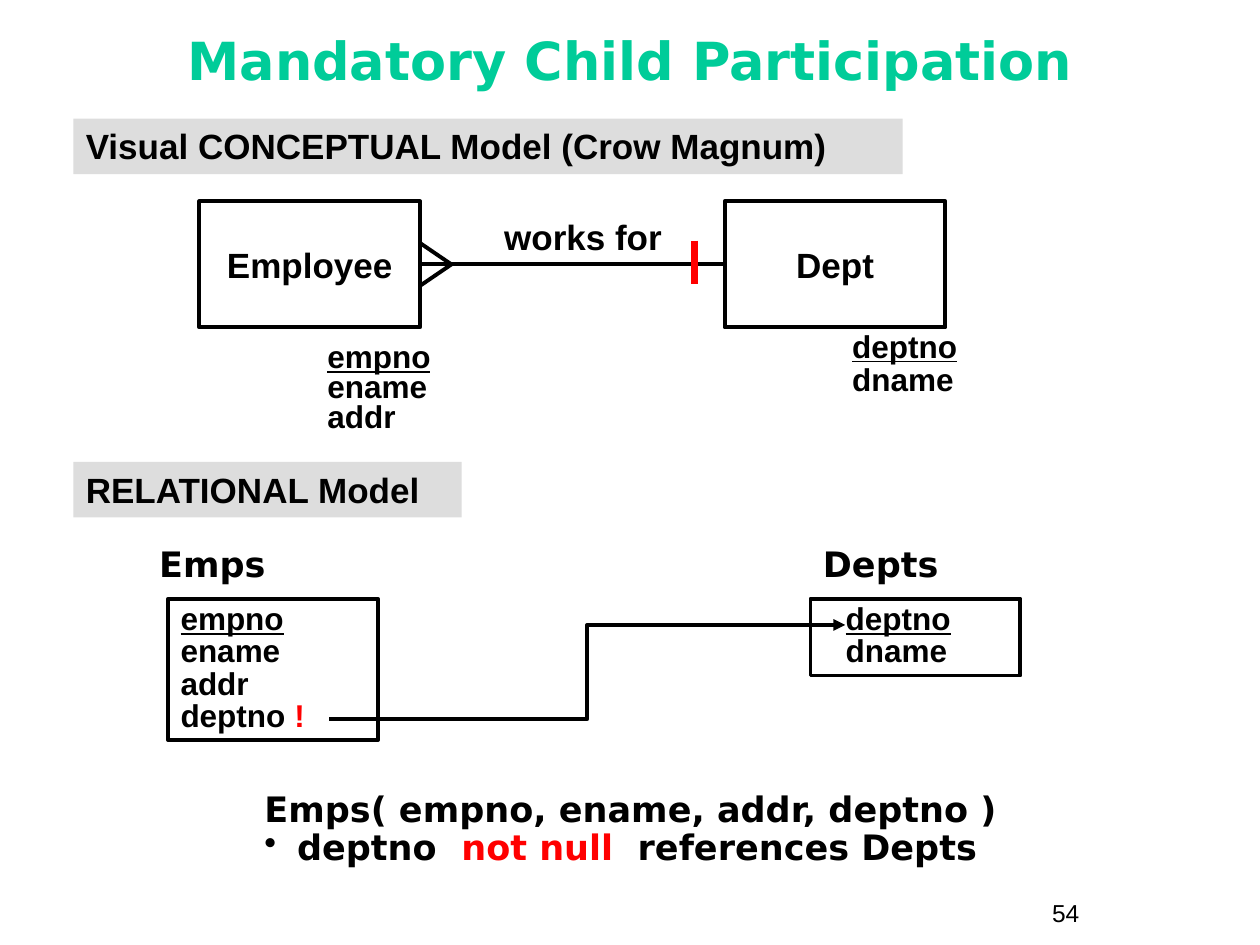
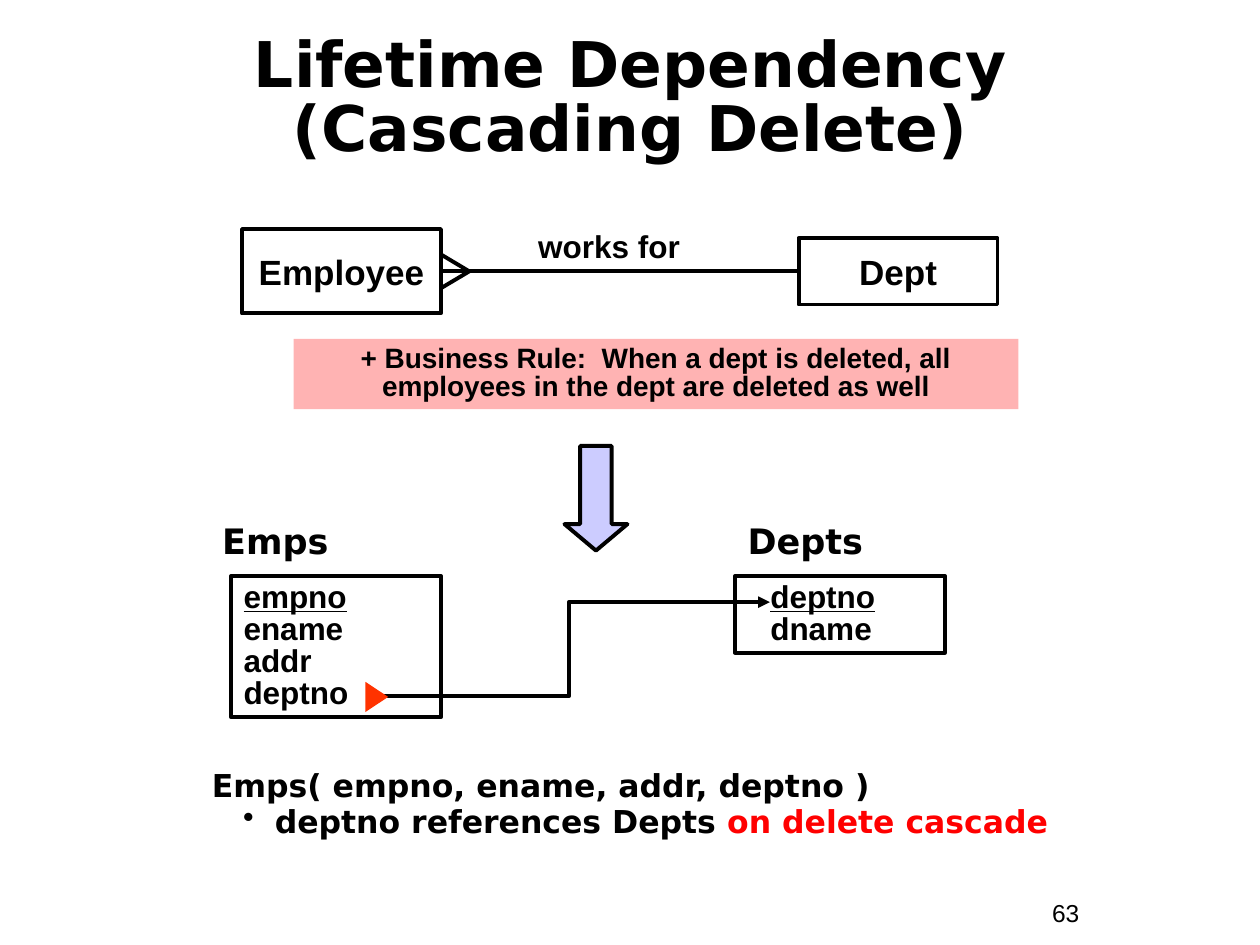
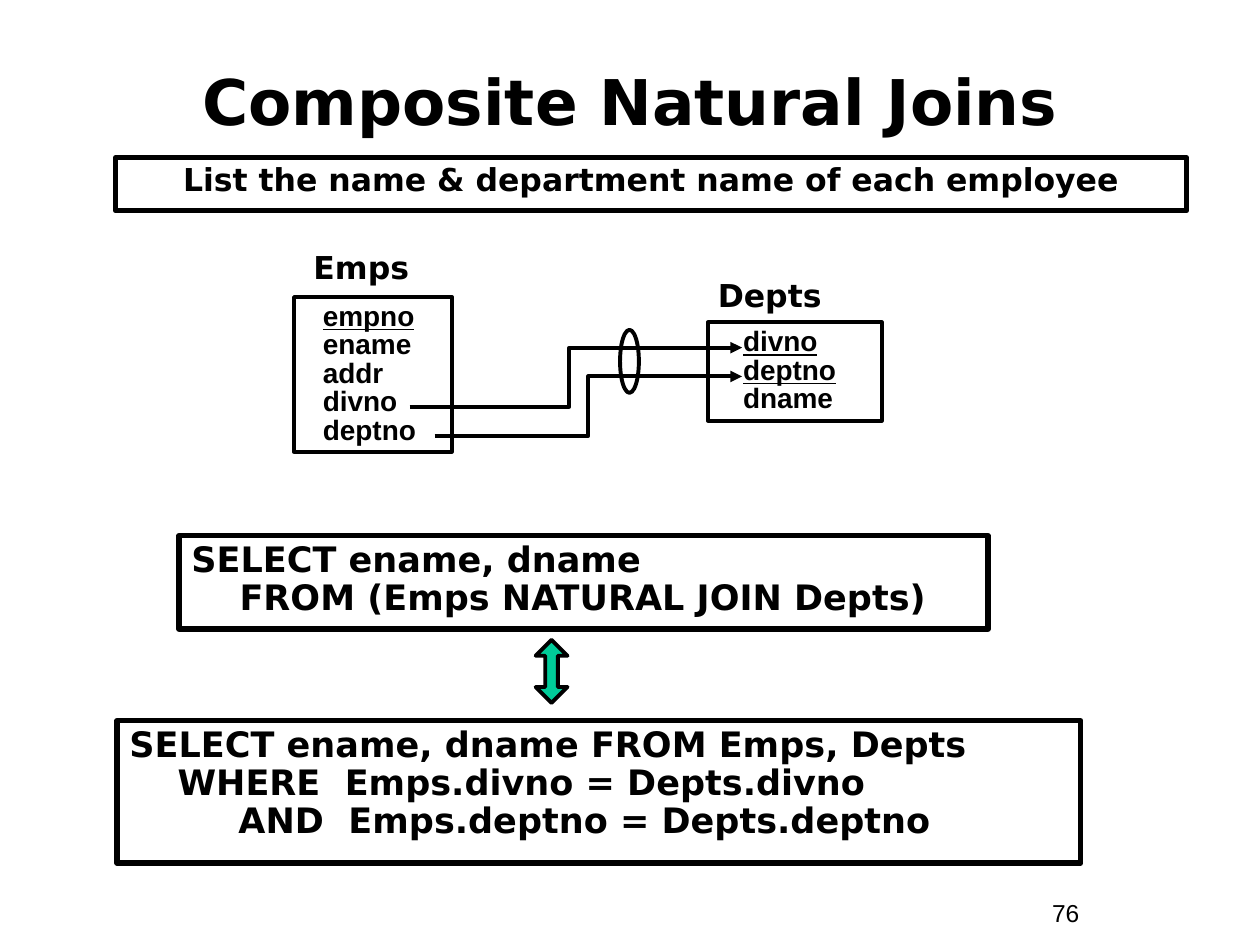
from dataclasses import dataclass
from typing import Any, Optional

from lxml import etree
from pptx import Presentation
from pptx.dml.color import RGBColor
from pptx.enum.shapes import MSO_CONNECTOR, MSO_SHAPE
from pptx.enum.text import MSO_ANCHOR, PP_ALIGN
from pptx.oxml.ns import qn
from pptx.util import Cm, Pt

RECT, OVAL = MSO_SHAPE.RECTANGLE, MSO_SHAPE.OVAL
DOWN, BOTH = MSO_SHAPE.DOWN_ARROW, MSO_SHAPE.UP_DOWN_ARROW
WEDGE = MSO_SHAPE.ISOSCELES_TRIANGLE
STRAIGHT, ELBOW = MSO_CONNECTOR.STRAIGHT, MSO_CONNECTOR.ELBOW
LEFT, CENTER = PP_ALIGN.LEFT, PP_ALIGN.CENTER
TOP, MIDDLE = MSO_ANCHOR.TOP, MSO_ANCHOR.MIDDLE

COLORS = {
    "black": "000000", "red": "FF0000", "green": "00CC99", "gray": "DDDDDD",
    "pink": "FFB3B3", "lilac": "CCCCFF", "flame": "FF3300",
}
SANS, HEAD = "Arial", "DejaVu Sans"
EDGE, THICK = 2.25, 3


# Parts that repeat
@dataclass(frozen=True)
class Box:
    left: float
    top: float
    width: float
    height: float

    @property
    def right(self) -> float:
        return self.left + self.width

    @property
    def mid(self) -> float:
        return self.top + self.height / 2


@dataclass(frozen=True)
class Word:
    text: str
    color: str = "black"
    under: bool = False


@dataclass(frozen=True)
class Line:
    words: tuple[Word, ...]
    space: float = 1.0
    indent: float = 0
    first: float = 0
    before: float = 0
    bullet: bool = False


@dataclass(frozen=True)
class Type:
    size: float
    face: str = SANS
    bold: bool = True


@dataclass(frozen=True)
class Table:
    label: Box
    name: str
    box: Box
    rows: list[Line]
    size: float
    label_size: float


# Drawing tools
def style(target: Any, values: dict[str, Any]) -> None:
    for key, value in values.items():
        setattr(target, key, value)


def color(name: str) -> RGBColor:
    return RGBColor.from_string(COLORS[name])


def plain(text: str, **form: Any) -> list[Line]:
    return [Line((Word(text),), **form)]


def fields(names: str, keys: int = 1, space: float = 0.85, indent: float = 0) -> list[Line]:
    return [Line((Word(name, under=i < keys),), space, indent)
            for i, name in enumerate(names.split())]


def write(shape: Any, lines: list[Line], kind: Type, align: Any = LEFT,
          anchor: Any = TOP, wrap: bool = True) -> None:
    frame = shape.text_frame
    style(frame, {
        "word_wrap": wrap, "vertical_anchor": anchor,
        "margin_left": Cm(0.25), "margin_right": Cm(0.25),
        "margin_top": Cm(0.13), "margin_bottom": Cm(0.13),
    })
    for i, line in enumerate(lines):
        para = frame.add_paragraph() if i else frame.paragraphs[0]
        style(para, {"alignment": align, "line_spacing": line.space,
                     "space_before": Pt(line.before)})
        props = para._p.get_or_add_pPr()
        props.set("marL", str(Cm(line.indent)))
        props.set("indent", str(Cm(line.first)))
        if line.bullet:
            tint = etree.SubElement(props, qn("a:buClr"))
            etree.SubElement(tint, qn("a:srgbClr"), val=COLORS["black"])
            etree.SubElement(props, qn("a:buChar"), char="•")
        for word in line.words:
            for j, part in enumerate(word.text.split("\n")):
                if j:
                    para.add_line_break()
                run = para.add_run()
                run.text = part
                style(run.font, {"size": Pt(kind.size), "name": kind.face,
                                 "bold": kind.bold, "underline": word.under})
                run.font.color.rgb = color(word.color)


def note(slide: Any, box: Box, lines: list[Line], kind: Type, **form: Any) -> None:
    area = slide.shapes.add_textbox(Cm(box.left), Cm(box.top), Cm(box.width), Cm(box.height))
    write(area, lines, kind, **form)


def block(slide: Any, box: Box, shape: Any = RECT, fill: Optional[str] = None,
          edge: float = EDGE, adjust: tuple[float, ...] = ()) -> Any:
    item = slide.shapes.add_shape(shape, Cm(box.left), Cm(box.top),
                                  Cm(box.width), Cm(box.height))
    item.shadow.inherit = False
    if fill:
        item.fill.solid()
        item.fill.fore_color.rgb = color(fill)
    else:
        item.fill.background()
    if edge:
        item.line.color.rgb = color("black")
        item.line.width = Pt(edge)
    else:
        item.line.fill.background()
    for i, value in enumerate(adjust):
        item.adjustments[i] = value
    return item


def wire(slide: Any, start: tuple[float, float], end: tuple[float, float],
         kind: Any = STRAIGHT, tint: str = "black", width: float = EDGE,
         bend: float = 0.5) -> Any:
    link = slide.shapes.add_connector(kind, *(Cm(n) for n in (*start, *end)))
    link.line.color.rgb = color(tint)
    link.line.width = Pt(width)
    props = link._element.spPr
    if kind == ELBOW:
        guides = props.find(qn("a:prstGeom")).get_or_add_avLst()
        etree.SubElement(guides, qn("a:gd"), name="adj1", fmla=f"val {round(bend * 100000)}")
        etree.SubElement(props.find(qn("a:ln")), qn("a:tailEnd"), type="triangle")
    etree.SubElement(props, qn("a:effectLst"))
    return link


# Parts of the diagrams
def page(deck: Any, title: str, number: str, box: Box, size: float = 36,
         tint: str = "black", space: float = 1.0) -> Any:
    slide = deck.slides.add_slide(deck.slide_layouts[6])
    note(slide, Box(20.96, 17.98, 2.34, 0.86), plain(number), Type(14, bold=False))
    note(slide, box, [Line((Word(title, tint),), space)], Type(size, HEAD),
         align=CENTER, anchor=MIDDLE)
    return slide


def band(slide: Any, box: Box, text: str) -> None:
    write(block(slide, box, fill="gray", edge=0), plain(text), Type(20))


def model(slide: Any, emp: Box, dept: Box, tip: float, spread: float,
          label: Box, size: float) -> None:
    ends = []
    for box, name in ((dept, "Dept"), (emp, "Employee")):
        item = block(slide, box)
        write(item, plain(name), Type(20), CENTER, MIDDLE, wrap=False)
        ends.append(item)
    link = wire(slide, (dept.left, dept.mid), (emp.right, emp.mid))
    link.begin_connect(ends[0], 1)
    link.end_connect(ends[1], 3)
    for side in (-spread, spread):
        wire(slide, (emp.right + tip, emp.mid), (emp.right, emp.mid + side))
    note(slide, label, plain("works for"), Type(size), align=CENTER)


def draw(slide: Any, table: Table) -> None:
    note(slide, table.label, plain(table.name), Type(table.label_size, HEAD))
    write(block(slide, table.box), table.rows, Type(table.size))


def schema(slide: Any, emps: float, depts: float, top: float, start: float,
           mark: tuple[Word, ...] = ()) -> None:
    rows = fields("empno ename addr")
    rows.append(Line((Word("deptno"), *mark), 0.85))
    sides = (("Emps", emps, emps - 0.43, 2.85, rows),
             ("Depts", depts, depts, 1.55, fields("deptno dname", indent=0.46)))
    for name, left, edge, height, lines in sides:
        draw(slide, Table(Box(edge, top - 1.27, 5.46, 1.12), name,
                          Box(left, top, 4.23, height), lines, 18, 20))
    wire(slide, (start, top + 2.43), (depts + 0.7, top + 0.53), ELBOW)


def query(slide: Any, box: Box, text: str) -> None:
    write(block(slide, box, edge=THICK),
          plain(text, space=0.9, indent=0.97, first=-0.97), Type(20, HEAD))


# Slides
def child(deck: Any) -> None:
    slide = page(deck, "Mandatory Child Participation", "54",
                 Box(0.64, 0.46, 24.13, 1.47), 30, "green")
    model(slide, Box(4.02, 4.06, 4.45, 2.54), Box(14.61, 4.06, 4.45, 2.54),
          0.63, 0.43, Box(9.75, 4.22, 4.01, 1.12), 20)
    note(slide, Box(16.93, 6.6, 2.96, 1.55),
         fields("deptno", space=0.8) + fields("dname", 0, 0.9), Type(18))
    note(slide, Box(6.35, 6.81, 2.96, 2.08), fields("empno ename addr", space=0.8), Type(18))
    band(slide, Box(1.48, 2.39, 16.72, 1.12), "Visual CONCEPTUAL Model (Crow Magnum)")
    band(slide, Box(1.48, 9.31, 7.83, 1.12), "RELATIONAL Model")
    schema(slide, 3.39, 16.34, 12.07, 6.64, (Word(" "), Word("!", "red")))
    rule = (Word("deptno "), Word(" not null", "red"), Word("  references Depts"))
    note(slide, Box(5.08, 15.88, 16.51, 1.75),
         plain("Emps( empno, ename, addr, deptno )", space=0.85)
         + [Line(rule, 0.85, 0.66, -0.66, 1.2, True)], Type(20, HEAD))
    wire(slide, (14, 4.85), (14, 5.72), tint="red", width=4.5)


def cascade(deck: Any) -> None:
    slide = page(deck, "Lifetime Dependency (Cascading Delete)", "63",
                 Box(0.85, 0.85, 23.71, 2.33), space=0.85)
    model(slide, Box(4.88, 4.62, 4.01, 1.7), Box(16.1, 4.8, 4.01, 1.34),
          0.57, 0.34, Box(10.16, 4.45, 4.24, 1.02), 18)
    schema(slide, 4.66, 14.82, 11.61, 7.41)
    rule = (Word("deptno references Depts"), Word(" on delete cascade", "red"))
    note(slide, Box(4.02, 15.42, 19.05, 2.36),
         plain("Emps( empno, ename, addr, deptno )", space=0.85)
         + [Line(rule, 0.85, 1.27, -0.64, 2.2, True)], Type(18, HEAD))
    write(block(slide, Box(5.92, 6.83, 14.61, 1.42), fill="pink", edge=0),
          plain("+ Business Rule:  When a dept is deleted, all employees "
                "in the dept are deleted as well", space=0.85), Type(16), CENTER)
    block(slide, Box(11.38, 8.99, 1.27, 2.11), DOWN, "lilac", adjust=(0.5, 0.42))
    block(slide, Box(7.29, 13.82, 0.61, 0.46), WEDGE, "flame", 0).rotation = 90


def joins(deck: Any) -> None:
    slide = page(deck, "Composite Natural Joins", "76", Box(0.85, 0.85, 23.71, 2.33))
    write(block(slide, Box(2.33, 3.18, 21.59, 1.07), edge=THICK),
          plain("List the name & department name of each employee", space=0.9),
          Type(18, HEAD), CENTER)
    draw(slide, Table(Box(6.07, 4.88, 2.82, 1.02), "Emps", Box(5.93, 5.99, 3.18, 3.12),
                      fields("empno ename addr divno deptno", indent=0.33), 16, 18))
    draw(slide, Table(Box(14.22, 5.44, 3.35, 1.02), "Depts", Box(14.27, 6.5, 3.51, 1.98),
                      fields("divno deptno dname", 2, indent=0.46), 16, 18))
    wire(slide, (8.26, 8.2), (14.96, 7.01), ELBOW, bend=0.48)
    wire(slide, (8.76, 8.79), (14.96, 7.59), ELBOW)
    block(slide, Box(12.5, 6.65, 0.38, 1.27), OVAL)
    query(slide, Box(3.61, 10.8, 16.31, 1.88),
          "SELECT ename, dname\nFROM (Emps NATURAL JOIN Depts)")
    query(slide, Box(2.36, 14.53, 19.43, 2.87),
          "SELECT ename, dname FROM Emps, Depts\n"
          "WHERE  Emps.divno = Depts.divno\n"
          "     AND  Emps.deptno = Depts.deptno")
    block(slide, Box(10.8, 12.9, 0.64, 1.27), BOTH, "green", adjust=(0.5, 0.4))


def main() -> None:
    deck = Presentation()
    style(deck, {"slide_width": Cm(25.4), "slide_height": Cm(19.05)})
    for build in (child, cascade, joins):
        build(deck)
    deck.save("out.pptx")


if __name__ == "__main__":
    main()
